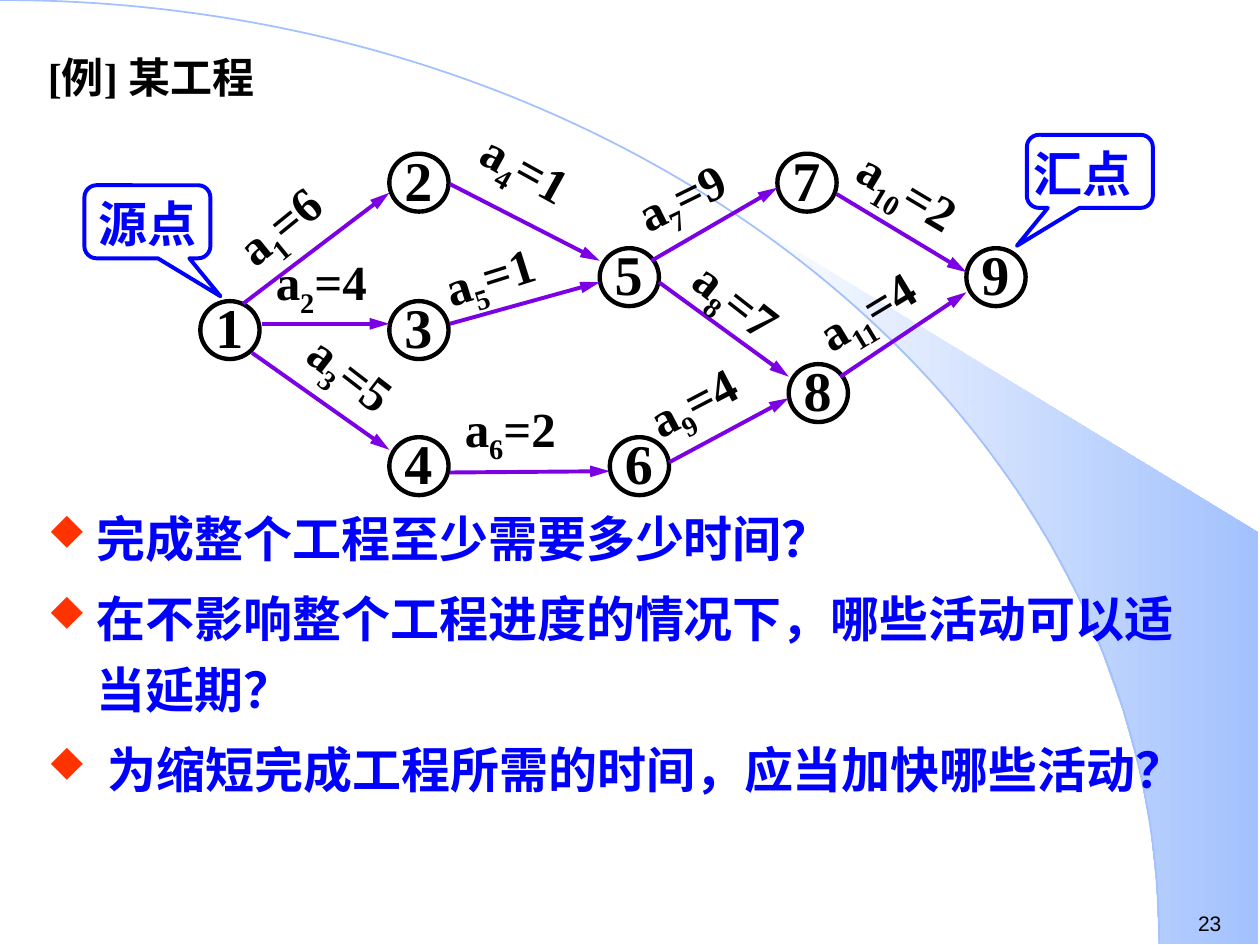
from math import acos, cos, sin

from lxml import etree
from pptx import Presentation
from pptx.dml.color import RGBColor
from pptx.enum.shapes import MSO_CONNECTOR, MSO_SHAPE
from pptx.enum.text import MSO_ANCHOR, PP_ALIGN
from pptx.oxml.ns import qn
from pptx.util import Pt

PX = 9144  # EMU per px, 100 px to the inch
OVAL = MSO_SHAPE.OVAL
CALLOUT = MSO_SHAPE.ROUNDED_RECTANGULAR_CALLOUT
STRAIGHT = MSO_CONNECTOR.STRAIGHT
LEFT, CENTER = PP_ALIGN.LEFT, PP_ALIGN.CENTER
TOP, MIDDLE = MSO_ANCHOR.TOP, MSO_ANCHOR.MIDDLE
rgb = RGBColor.from_string
BLACK, BLUE, PURPLE, RED, SKY, WHITE = "000000", "0000FF", "7B00E4", "FF3300", "A2C1FE", "FFFFFF"


def write(frame, spans, size=28, color=BLACK, bold=True, font="Times New Roman",
          align=LEFT, anchor=MIDDLE, insets=(10, 5, 10, 5), para=None):
    """Fill a paragraph with (text, baseline) spans; a plain string is one span."""
    frame.word_wrap, frame.vertical_anchor = True, anchor
    frame.margin_left, frame.margin_top, frame.margin_right, frame.margin_bottom = (
        inset * PX for inset in insets)
    para = para or frame.paragraphs[0]
    para.alignment = align
    for text, baseline in [(spans, 0)] if isinstance(spans, str) else spans:
        span = para.add_run()
        span.text = text
        span.font.size, span.font.bold, span.font.name = Pt(size), bold, font
        span.font.color.rgb = rgb(color)
        properties = span._r.get_or_add_rPr()
        etree.SubElement(properties, qn("a:ea"), typeface="Noto Sans CJK SC")
        if baseline:
            properties.set("baseline", str(baseline))


def outline(shape, color, width):
    """Leave a shape unfilled, with a plain line and no shadow."""
    shape.shadow.inherit = False
    shape.fill.background()
    shape.line.color.rgb = rgb(color)
    shape.line.width = Pt(width)


deck = Presentation()
deck.slide_width, deck.slide_height = 1000 * PX, 750 * PX
page = deck.slides.add_slide(deck.slide_layouts[5])
shapes = page.shapes

# Background band, shaded, outside the lower part of a quarter ellipse
RADIUS_X, RADIUS_Y, STEPS = 920, 749, 14
angles = [acos(0.64) * (1 - step / STEPS) for step in range(STEPS + 1)]
edge = [(RADIUS_X * cos(angle), RADIUS_Y * (1 - sin(angle))) for angle in angles]
builder = shapes.build_freeform(*edge[0], scale=PX)
builder.add_line_segments(edge[1:] + [(999, 749), (999, 423)], close=True)
band = builder.convert_to_shape()
band.shadow.inherit = False
band.line.fill.background()
band.fill.gradient()
band.fill.gradient_angle = 0
for stop, position, color in zip(band.fill.gradient_stops, (0, 1), (WHITE, SKY)):
    stop.position, stop.color.rgb = position, rgb(color)

# Background arc: the three segment ends become the points of one Bezier curve
builder = shapes.build_freeform(0, 0, scale=PX)
builder.add_line_segments([(508, 0), (RADIUS_X, 335), (RADIUS_X, RADIUS_Y)], close=False)
arc = builder.convert_to_shape()
outline(arc, SKY, 1)
outline_path = next(arc._element.iter(qn("a:path")))
curve = etree.SubElement(outline_path, qn("a:cubicBezTo"))
for segment in outline_path.findall(qn("a:lnTo")):
    curve.append(segment[0])
    outline_path.remove(segment)

# Title
title = shapes.title
title.left, title.top, title.width, title.height = 28 * PX, 30 * PX, 600 * PX, 62 * PX
write(title.text_frame, "[例] 某工程", size=24)

# Questions
box = shapes.add_textbox(28 * PX, 394 * PX, 929 * PX, 250 * PX)
questions = ["完成整个工程至少需要多少时间？",
             "在不影响整个工程进度的情况下，哪些活动可以适当延期？",
             " 为缩短完成工程所需的时间，应当加快哪些活动？"]
for index, question in enumerate(questions):
    para = box.text_frame.add_paragraph() if index else box.text_frame.paragraphs[0]
    para.line_spacing = 1.2
    if index:
        para.space_before = Pt(5.6)
    layout = para._p.get_or_add_pPr()
    layout.set("marL", str(39 * PX))
    layout.set("indent", str(-39 * PX))
    bullet_color = etree.SubElement(layout, qn("a:buClr"))
    etree.SubElement(bullet_color, qn("a:srgbClr"), val=RED)
    etree.SubElement(layout, qn("a:buSzPct"), val="80000")
    etree.SubElement(layout, qn("a:buFont"), typeface="Wingdings", charset="2")
    etree.SubElement(layout, qn("a:buChar"), char="u")  # a diamond in Wingdings
    write(box.text_frame, question, color=BLUE, anchor=TOP, insets=(10, 0, 10, 0), para=para)

# Events: left and top of each circle, with its number set slightly high
events = {1: (159, 239), 2: (309, 122), 3: (309, 239), 4: (309, 347), 5: (476, 197),
          6: (484, 347), 7: (617, 122), 8: (626, 289), 9: (767, 197)}
for number, (left, top) in events.items():
    circle = shapes.add_shape(OVAL, left * PX, top * PX, 47 * PX, 46 * PX)
    outline(circle, BLACK, 2.5)
    box = shapes.add_textbox(left * PX, (top - 5) * PX, 46 * PX, 50 * PX)
    write(box.text_frame, str(number), size=32, align=CENTER, insets=(0, 0, 0, 0))

# Activities: number, duration, label left, top and rotation, arrow ends
activities = [
    (1, 6, 162, 144, -39.1, (193, 241, 309, 153)),
    (2, 4, 209, 198, 0, (208, 257, 309, 257)),
    (3, 5, 226, 285, 37.7, (200, 280, 309, 357)),
    (4, 1, 367, 119, 28.9, (357, 146, 476, 207)),
    (5, 1, 342, 185, -17.6, (357, 257, 476, 224)),
    (6, 2, 359, 314, 0, (357, 375, 484, 374)),
    (7, 9, 493, 119, -26.2, (531 - 14, 207, 617, 149)),
    (8, 7, 532, 227, 38, (523, 224, 626, 299)),
    (9, 4, 502, 281, -27.6, (531, 367, 626, 316)),
    (10, 2, 665, 135, 30.9, (664, 154, 767, 216)),
    (11, 4, 635, 210, -31.2, (667, 299, 767, 232)),
]
for number, duration, left, top, rotation, ends in activities:
    arrow = shapes.add_connector(STRAIGHT, *(end * PX for end in ends))
    arrow.line.color.rgb = rgb(PURPLE)
    arrow.line.width = Pt(2.25)
    etree.SubElement(arrow.line._get_or_add_ln(), qn("a:tailEnd"),
                     type="triangle", w="med", len="lg")
    etree.SubElement(arrow._element.spPr, qn("a:effectLst"))

    # The first label sits in a narrower box, so its text starts further along
    shift = 12 if number == 1 else 0
    label = shapes.add_textbox((left + shift) * PX, top * PX, (142 - 2 * shift) * PX, 57 * PX)
    label.rotation = rotation
    write(label.text_frame, [("a", 0), (str(number), -25000), (f"={duration}", 0)])

# Callouts naming the source and the sink
for text, left, top, tip, right_inset in (("源点", 67, 147, 0.58, 0), ("汇点", 815, 107, -0.58, 12)):
    callout = shapes.add_shape(CALLOUT, left * PX, top * PX, 100 * PX, 58 * PX)
    callout.adjustments[0], callout.adjustments[1] = tip, 1.02
    outline(callout, BLUE, 2.25)
    write(callout.text_frame, text, color=BLUE, align=CENTER, insets=(0, 2, right_inset, 0))

# Page number
box = shapes.add_textbox(941 * PX, 718 * PX, 59 * PX, 30 * PX)
write(box.text_frame, "23", size=12, bold=False, font="Arial", anchor=TOP)

deck.save("out.pptx")
